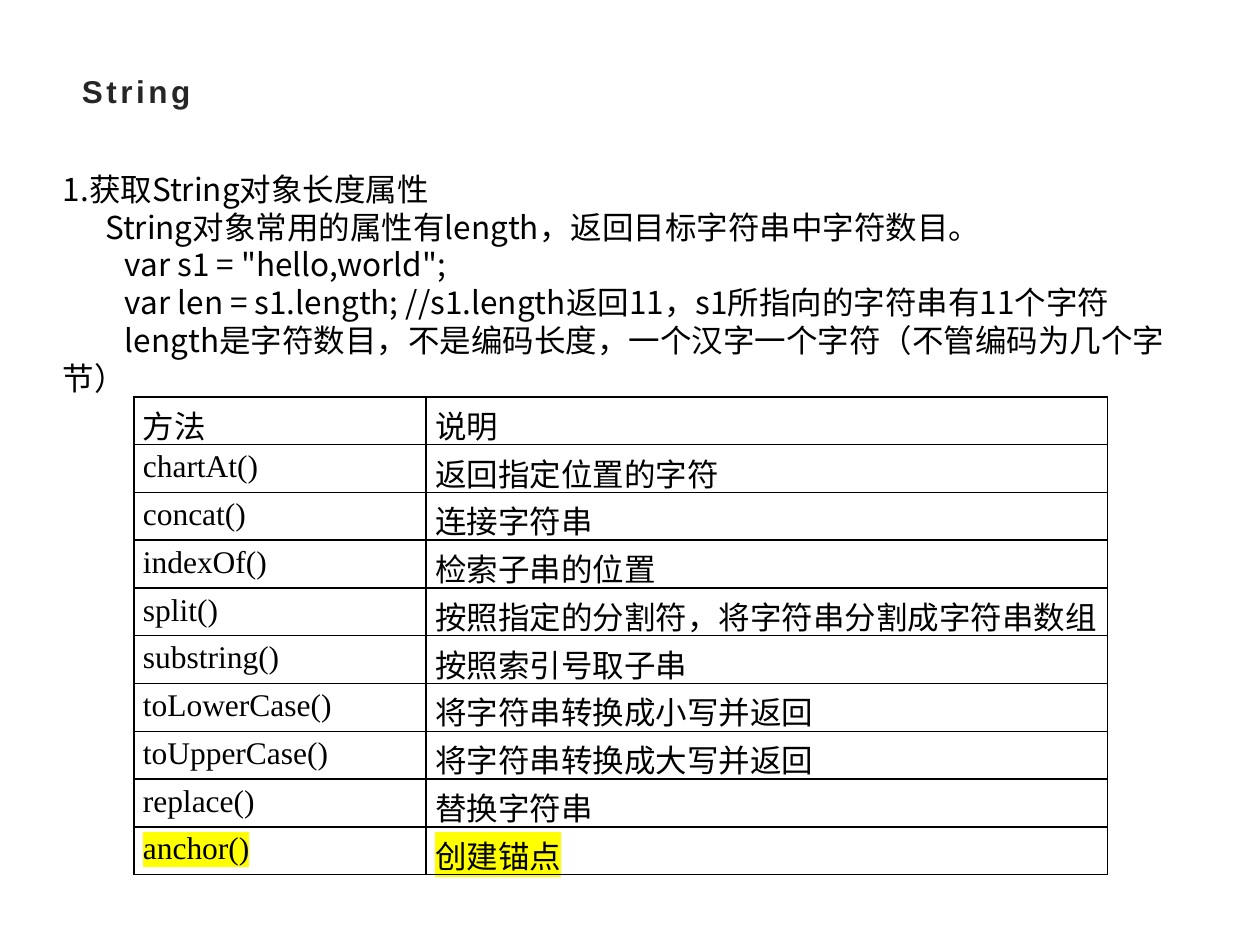
"""Builds the slide about the String object, its length property and its methods."""
from lxml import etree
from pptx import Presentation
from pptx import util as u
from pptx.dml.color import RGBColor
from pptx.enum import text
from pptx.oxml import ns

BLACK = RGBColor(0x00, 0x00, 0x00)
CHARCOAL = RGBColor(0x26, 0x26, 0x26)
YELLOW = RGBColor(0xFF, 0xFF, 0x00)
CJK = "Noto Sans CJK SC"

HEADING = {"name": "Arial", "size": u.Pt(18), "bold": True}
BODY = {"name": CJK, "size": u.Pt(18)}
CELL = {"name": "Times New Roman", "size": u.Pt(18)}
CELL_MARGINS = {
    "margin_left": u.Cm(0.18), "margin_right": u.Cm(0.18),
    "margin_top": u.Cm(0.1), "margin_bottom": u.Cm(0.1),
}

EXPLANATION = [
    ("1.获取String对象长度属性", 0),
    ("String对象常用的属性有length，返回目标字符串中字符数目。", 0.85),
    ('var s1 = "hello,world";', 1.25),
    ("var len = s1.length; //s1.length返回11，s1所指向的字符串有11个字符", 1.25),
    ("length是字符数目，不是编码长度，一个汉字一个字符（不管编码为几个字节）", 1.25),
]
METHODS = [
    ("方法", "说明"),
    ("chartAt()", "返回指定位置的字符"),
    ("concat()", "连接字符串"),
    ("indexOf()", "检索子串的位置"),
    ("split()", "按照指定的分割符，将字符串分割成字符串数组"),
    ("substring()", "按照索引号取子串"),
    ("toLowerCase()", "将字符串转换成小写并返回"),
    ("toUpperCase()", "将字符串转换成大写并返回"),
    ("replace()", "替换字符串"),
    ("anchor()", "创建锚点"),
]
HIGHLIGHTED = "anchor()"


def assign(target, values):
    for name, value in values.items():
        setattr(target, name, value)


def add_color(parent, color):
    etree.SubElement(parent, ns.qn("a:srgbClr"), val=str(color))


class StringSlide:
    def __init__(self, deck):
        self.slide = deck.slides.add_slide(deck.slide_layouts[6])

    def fill_paragraph(self, paragraph, words, style, color=BLACK, margin=0,
                       indent=0, highlight=None, spacing=None):
        properties = paragraph._p.get_or_add_pPr()
        properties.set("marL", str(u.Cm(margin)))
        properties.set("indent", str(u.Cm(indent)))
        run = paragraph.add_run()
        run.text = words
        run.font.color.rgb = color
        run_properties = run._r.get_or_add_rPr()
        if highlight:
            add_color(etree.SubElement(run_properties, ns.qn("a:highlight")), highlight)
        if spacing:
            run_properties.set("spc", str(spacing))
        assign(run.font, style)
        etree.SubElement(run_properties, ns.qn("a:ea"), typeface=CJK)

    def text_box(self, box, anchor):
        frame = self.slide.shapes.add_textbox(*map(u.Cm, box)).text_frame
        assign(frame, {"word_wrap": True, "vertical_anchor": anchor})
        return frame

    def title(self, words, box):
        frame = self.text_box(box, text.MSO_ANCHOR.MIDDLE)
        self.fill_paragraph(frame.paragraphs[0], words, HEADING, CHARCOAL, spacing=200)

    def explanation(self, lines, box):
        frame = self.text_box(box, text.MSO_ANCHOR.TOP)
        for number, (words, indent) in enumerate(lines):
            paragraph = frame.add_paragraph() if number else frame.paragraphs[0]
            self.fill_paragraph(paragraph, words, BODY, indent=indent)

    def border(self, cell):
        properties = cell._tc.get_or_add_tcPr()
        for side in ("lnL", "lnR", "lnT", "lnB"):
            line = etree.SubElement(properties, ns.qn(f"a:{side}"), w=str(u.Pt(1)))
            add_color(etree.SubElement(line, ns.qn("a:solidFill")), BLACK)

    def method_table(self, rows, left, top, widths, row_height):
        table = self.slide.shapes.add_table(
            len(rows), len(widths), u.Cm(left), u.Cm(top),
            u.Cm(sum(widths)), u.Cm(row_height * len(rows))).table
        assign(table, {"first_row": False, "horz_banding": False})
        for column, width in zip(table.columns, widths):
            column.width = u.Cm(width)
        for row, entries in zip(table.rows, rows):
            row.height = u.Cm(row_height)
            highlight = YELLOW if entries[0] == HIGHLIGHTED else None
            for cell, words in zip(row.cells, entries):
                assign(cell, CELL_MARGINS)
                self.border(cell)
                cell.fill.background()
                self.fill_paragraph(cell.text_frame.paragraphs[0], words, CELL,
                                    margin=0.95, indent=-0.95, highlight=highlight)


def main():
    deck = Presentation()
    assign(deck, {"slide_width": u.Cm(25.4), "slide_height": u.Cm(19.05)})
    page = StringSlide(deck)
    page.title("String", (1.4, 1.22, 22.6, 1.22))
    page.explanation(EXPLANATION, (1.02, 3.3, 23.7, 4.1))
    page.method_table(METHODS, 2.7, 8, (5.89, 13.74), 0.95)
    deck.save("out.pptx")


if __name__ == "__main__":
    main()
